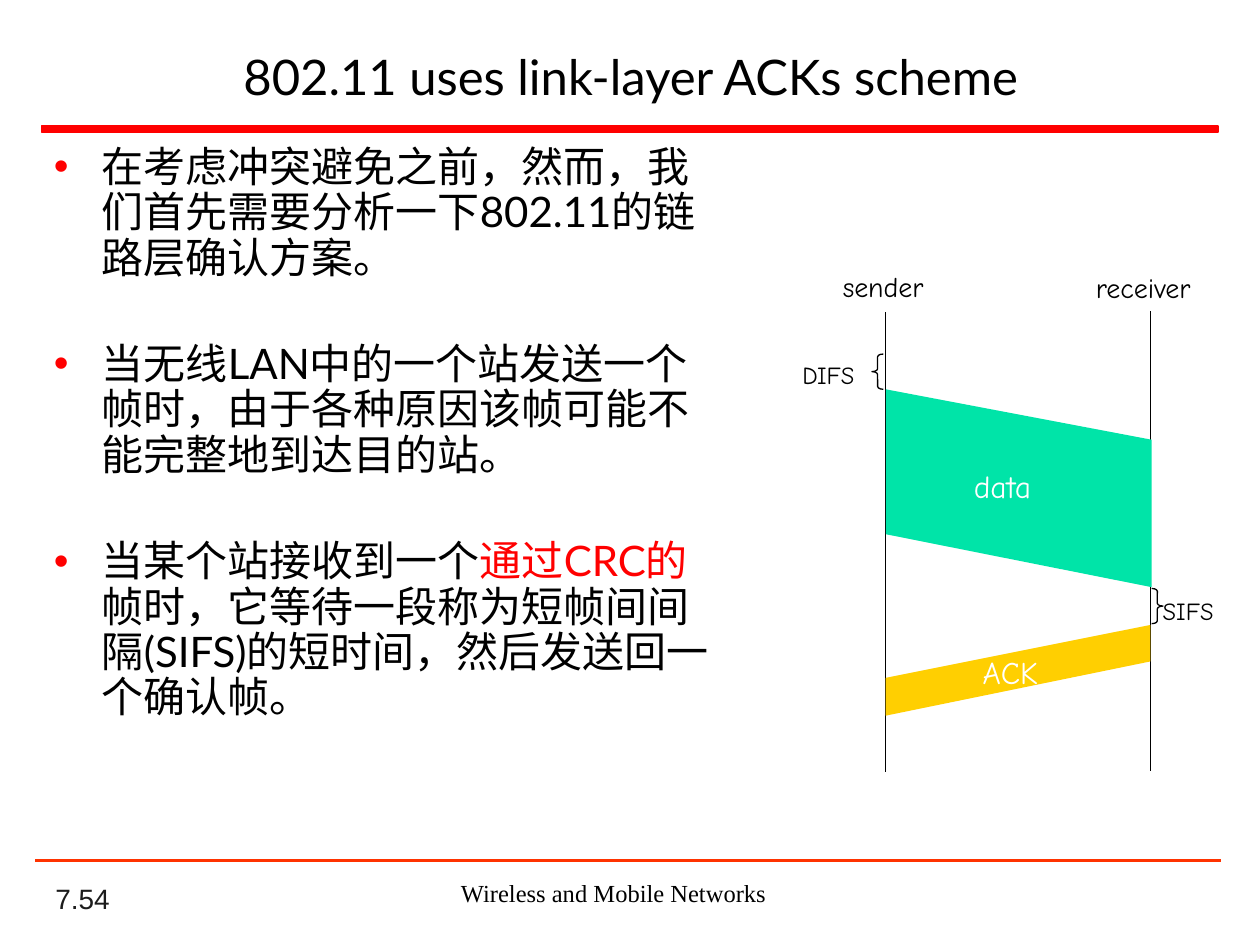
from lxml import etree
from pptx import Presentation
from pptx.dml.color import RGBColor
from pptx.enum.shapes import MSO_CONNECTOR, MSO_SHAPE
from pptx.enum.text import MSO_ANCHOR, PP_ALIGN
from pptx.oxml.ns import qn
from pptx.util import Inches, Pt

COLORS = {
    "black": "000000", "white": "FFFFFF", "gray": "1C1C1C", "red": "FF0000",
    "orange": "FF3300", "data": "00E4A8", "ack": "FFCF01",
}
SENDER_X, RECEIVER_X = 7.03, 9.13
HEADING_FONT, DIAGRAM_FONT = "Lato", "Comic Neue"


def color(name):
    return RGBColor.from_string(COLORS[name])


class SlideBuilder:
    def __init__(self, page):
        self.page = page

    def style_font(self, font, size, name, ink):
        font.size = Pt(size)
        font.name = name
        font.color.rgb = color(ink)

    def text_frame(self, left, top, width, height, anchor=MSO_ANCHOR.TOP, wrap=True):
        box = self.page.shapes.add_textbox(*map(Inches, (left, top, width, height)))
        frame = box.text_frame
        frame.word_wrap = wrap
        frame.vertical_anchor = anchor
        return frame

    def text(self, text, bounds, size, name, ink="black", align=PP_ALIGN.LEFT,
             anchor=MSO_ANCHOR.TOP, wrap=True):
        para = self.text_frame(*bounds, anchor, wrap).paragraphs[0]
        para.text = text
        para.alignment = align
        self.style_font(para.font, size, name, ink)

    def label(self, text, bounds, size, ink="black"):
        self.text(text, bounds, size, DIAGRAM_FONT, ink, wrap=False)

    def bullets(self, items, bounds, size, gap):
        frame = self.text_frame(*bounds)
        for index, spans in enumerate(items):
            para = frame.paragraphs[0] if index == 0 else frame.add_paragraph()
            para.line_spacing = 0.9
            if index:
                para.space_before = Pt(gap)
            properties = para._p.get_or_add_pPr()
            properties.set("marL", str(Inches(0.38)))
            properties.set("indent", str(Inches(-0.38)))
            bullet_color = etree.SubElement(properties, qn("a:buClr"))
            etree.SubElement(bullet_color, qn("a:srgbClr"), val=COLORS["red"])
            etree.SubElement(properties, qn("a:buFont"), typeface="Arial")
            etree.SubElement(properties, qn("a:buChar"), char="•")
            for words, ink in spans:
                span = para.add_run()
                span.text = words
                self.style_font(span.font, size, HEADING_FONT, ink)

    def line(self, start, end, ink, weight):
        connector = self.page.shapes.add_connector(
            MSO_CONNECTOR.STRAIGHT, *map(Inches, (*start, *end)))
        connector.line.color.rgb = color(ink)
        connector.line.width = Pt(weight)
        etree.SubElement(connector._element.spPr, qn("a:effectLst"))

    def bar(self, bounds, ink):
        bar = self.page.shapes.add_shape(MSO_SHAPE.RECTANGLE, *map(Inches, bounds))
        bar.shadow.inherit = False
        bar.fill.solid()
        bar.fill.fore_color.rgb = color(ink)
        bar.line.color.rgb = color(ink)
        bar.line.width = Pt(1)

    def brace(self, kind, left, top):
        brace = self.page.shapes.add_shape(
            kind, *map(Inches, (left, top, 0.09, 0.28)))
        brace.shadow.inherit = False
        brace.adjustments[0] = 0.25
        brace.fill.background()
        brace.line.color.rgb = color("black")
        brace.line.width = Pt(0.75)

    def band(self, corners, ink):
        first, *others = [(Inches(x), Inches(y)) for x, y in corners]
        builder = self.page.shapes.build_freeform(*first, scale=1.0)
        builder.add_line_segments(others, close=True)
        band = builder.convert_to_shape()
        band.shadow.inherit = False
        band.fill.solid()
        band.fill.fore_color.rgb = color(ink)
        band.line.fill.background()


def main():
    deck = Presentation()
    deck.slide_width, deck.slide_height = Inches(10), Inches(7.5)
    slide = SlideBuilder(deck.slides.add_slide(deck.slide_layouts[6]))

    # Footer and title rule
    slide.text("7.54", (0.34, 6.98, 2.08, 0.33), 16, "Arial", "gray",
               anchor=MSO_ANCHOR.BOTTOM)
    slide.bar((0.33, 1, 9.34, 0.05), "red")
    slide.line((0.28, 6.83), (9.69, 6.83), "orange", 1.5)
    slide.text("Wireless and Mobile Networks", (2.83, 6.92, 4.08, 0.34), 14,
               "Times New Roman", align=PP_ALIGN.CENTER)

    # Title and body
    slide.text("802.11 uses link-layer ACKs scheme", (0.35, 0.25, 9.31, 0.7), 28,
               HEADING_FONT, align=PP_ALIGN.CENTER, anchor=MSO_ANCHOR.MIDDLE)
    slide.bullets([
        [("在考虑冲突避免之前，然而，我们首先需要分析一下802.11的链路层确认方案。", "black")],
        [("当无线LAN中的一个站发送一个帧时，由于各种原因该帧可能不能完整地到达目的站。", "black")],
        [("当某个站接收到一个", "black"), ("通过CRC的", "red"),
         ("帧时，它等待一段称为短帧间间隔(SIFS)的短时间，然后发送回一个确认帧。", "black")],
    ], (0.33, 1.11, 5.56, 5.62), size=24, gap=35)

    # Time lines of the two stations
    for x, top in ((SENDER_X, 2.48), (RECEIVER_X, 2.47)):
        slide.line((x, top), (x, top + 3.65), "black", 0.75)
    slide.label("sender", (6.59, 2.09, 0.91, 0.37), 16)
    slide.label("receiver", (8.6, 2.1, 1.07, 0.37), 16)

    # Data frame after DIFS
    slide.brace(MSO_SHAPE.LEFT_BRACE, 6.92, 2.81)
    slide.label("DIFS", (6.27, 2.81, 0.7, 0.33), 14)
    slide.band([(SENDER_X, 3.09), (RECEIVER_X + 0.01, 3.49),
                (RECEIVER_X + 0.01, 4.66), (SENDER_X, 4.24)], "data")
    slide.label("data", (7.63, 3.66, 0.72, 0.4), 18, "white")

    # Acknowledgement after SIFS
    slide.label("SIFS", (9.13, 4.68, 0.7, 0.33), 14)
    slide.brace(MSO_SHAPE.RIGHT_BRACE, 9.14, 4.67)
    slide.band([(SENDER_X, 5.68), (RECEIVER_X, 5.25),
                (RECEIVER_X, 4.96), (SENDER_X, 5.38)], "ack")
    slide.label("ACK", (7.7, 5.13, 0.69, 0.4), 18, "white")

    deck.save("out.pptx")


if __name__ == "__main__":
    main()
